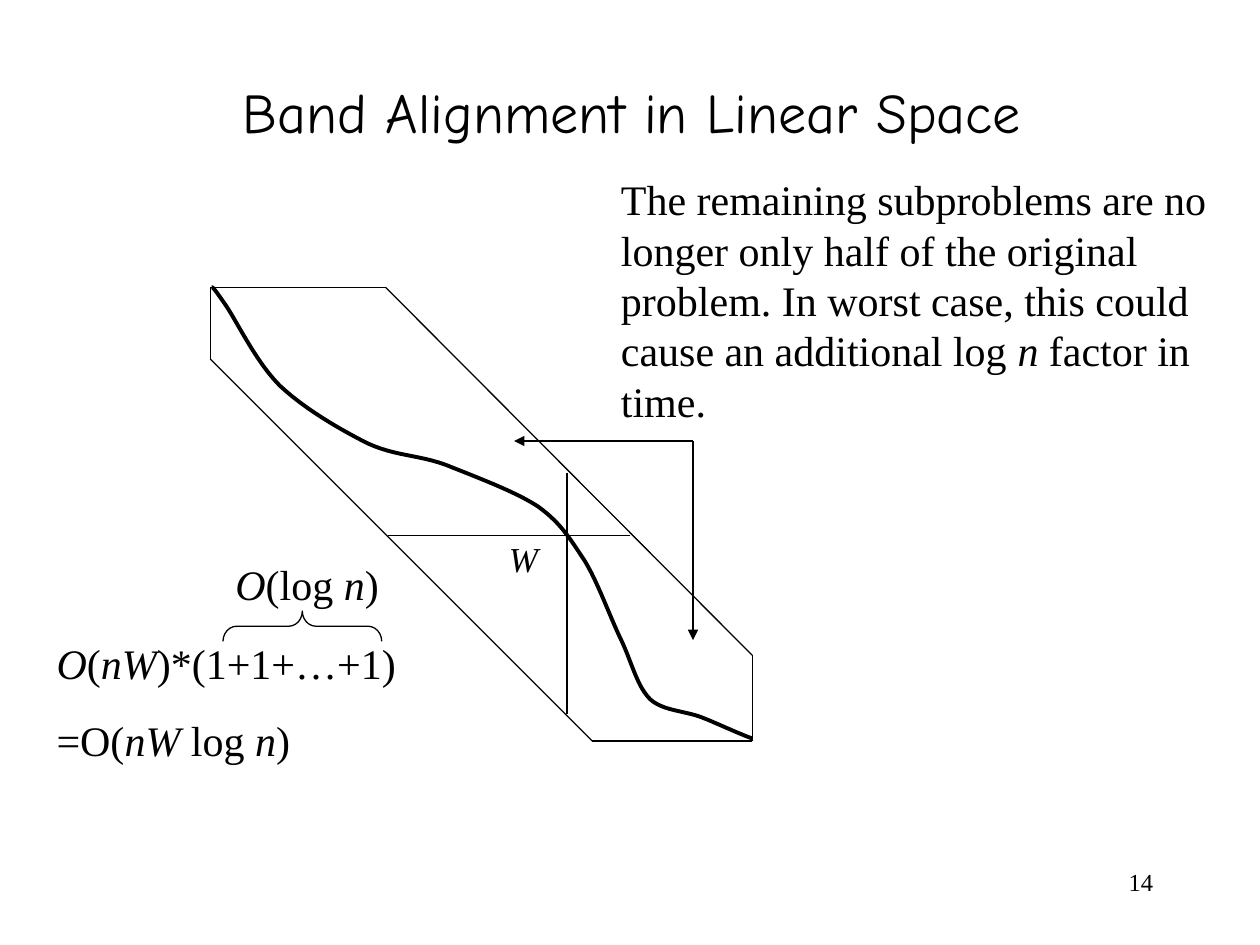
from lxml import etree
from pptx import Presentation
from pptx.dml.color import RGBColor
from pptx.enum.shapes import MSO_CONNECTOR, MSO_SHAPE
from pptx.enum.text import MSO_ANCHOR, PP_ALIGN
from pptx.oxml.ns import qn
from pptx.util import Inches, Pt

BLACK = RGBColor(0, 0, 0)
SERIF, COMIC = "Times New Roman", "Comic Neue"
LEFT, RIGHT = PP_ALIGN.LEFT, PP_ALIGN.RIGHT
TOP = MSO_ANCHOR.TOP
STRAIGHT, RIGHT_BRACE = MSO_CONNECTOR.STRAIGHT, MSO_SHAPE.RIGHT_BRACE
THIN, THICK = 0.75, 2.25

# Texts: box (left, top, width, height), size, font, alignment, wrap, paragraphs.
# Every second run in a paragraph is italic.
TEXTS = [
    ((1.83, 0.57, 7.01, 0.64), 32, COMIC, LEFT, True,
     [["Band Alignment in Linear Space"]]),
    ((4.83, 1.33, 4.92, 2.1), 24, SERIF, LEFT, True,
     [["The remaining subproblems are no longer only half of the original "
       "problem. In worst case, this could cause an additional log ",
       "n", " factor in time."]]),
    ((0.35, 5.01, 2.99, 1.11), 24, SERIF, LEFT, True,
     [["", "O", "(", "nW", ")*(1+1+…+1)"],
      ["=O(", "nW", " log ", "n", ")"]]),
    ((1.77, 4.38, 1.42, 0.5), 24, SERIF, LEFT, True,
     [["", "O", "(log ", "n", ")"]]),
    ((3.94, 4.22, 0.43, 0.44), 20, SERIF, LEFT, False, [["", "W"]]),
    ((7.17, 6.83, 2.08, 0.5), 14, SERIF, RIGHT, True, [["14"]]),
]

# Band outline, corner by corner
BAND = [(1.67, 2.28), (3.06, 2.28), (5.97, 5.2), (5.97, 5.88),
        (4.7, 5.88), (1.67, 2.85)]

# Width and cut through the middle of the band
CROSS_LINES = [((3.08, 4.25), (5, 4.25)), ((4.5, 3.75), (4.5, 5.67))]

# Arrows from one corner to the two remaining subproblems
ARROW_CORNER = (5.5, 3.5)
SUBPROBLEMS = [(4.08, 3.5), (5.5, 5.08)]

# Alignment curve: start, then Bezier pieces (control, control, end)
CURVE_START = (1.68, 2.28)
CURVE_PIECES = [
    ((1.69, 2.28), (1.7, 2.29), (1.79, 2.42)),
    ((1.88, 2.55), (2.03, 2.87), (2.22, 3.06)),
    ((2.41, 3.24), (2.7, 3.41), (2.92, 3.52)),
    ((3.14, 3.62), (3.32, 3.61), (3.54, 3.69)),
    ((3.76, 3.78), (4.09, 3.9), (4.27, 4.02)),
    ((4.45, 4.15), (4.52, 4.27), (4.64, 4.45)),
    ((4.75, 4.63), (4.85, 4.92), (4.94, 5.1)),
    ((5.02, 5.28), (5.06, 5.45), (5.16, 5.55)),
    ((5.26, 5.64), (5.42, 5.64), (5.56, 5.69)),
    ((5.69, 5.74), (5.9, 5.84), (5.97, 5.86)),
]
STEPS = 12

BRACE = (2.28, 4.34, 0.24, 1.26)


def add_text(slide, box, size, font, align, wrap, paragraphs):
    frame = slide.shapes.add_textbox(*map(Inches, box)).text_frame
    frame.word_wrap = wrap
    frame.vertical_anchor = TOP
    for row, runs in enumerate(paragraphs):
        paragraph = frame.paragraphs[0] if row == 0 else frame.add_paragraph()
        paragraph.alignment = align
        if row:
            paragraph.space_before = Pt(15)
        paragraph.font.size = Pt(size)
        paragraph.font.name = font
        paragraph.font.color.rgb = BLACK
        for index, words in enumerate(runs):
            if words:
                run = paragraph.add_run()
                run.text = words
                run.font.italic = index % 2 == 1


def add_line(slide, start, end, arrow=False):
    connector = slide.shapes.add_connector(STRAIGHT, *map(Inches, start + end))
    connector.line.color.rgb = BLACK
    connector.line.width = Pt(THIN)
    properties = connector._element.spPr
    if arrow:
        etree.SubElement(properties.find(qn("a:ln")), qn("a:tailEnd"),
                         type="triangle")
    etree.SubElement(properties, qn("a:effectLst"))


def style_outline(shape, width):
    shape.shadow.inherit = False
    shape.fill.background()
    shape.line.color.rgb = BLACK
    shape.line.width = Pt(width)


def curve_points(start, pieces):
    """Points along the Bezier pieces, in EMU."""
    points = [tuple(map(Inches, start))]
    for a, b, end in pieces:
        for step in range(1, STEPS + 1):
            t = step / STEPS
            u = 1 - t
            points.append(tuple(
                Inches(u**3 * p + 3 * u * u * t * q + 3 * u * t * t * r + t**3 * s)
                for p, q, r, s in zip(start, a, b, end)))
        start = end
    return points


def main():
    prs = Presentation()
    prs.slide_width, prs.slide_height = Inches(10), Inches(7.5)
    slide = prs.slides.add_slide(prs.slide_layouts[6])

    # Band with its cross lines
    for start, end in zip(BAND, BAND[1:] + BAND[:1]):
        add_line(slide, start, end)
    for start, end in CROSS_LINES:
        add_line(slide, start, end)

    # Alignment curve
    first, *others = curve_points(CURVE_START, CURVE_PIECES)
    builder = slide.shapes.build_freeform(*first)
    builder.add_line_segments(others, close=False)
    style_outline(builder.convert_to_shape(), THICK)

    # Arrows to the subproblems
    for target in SUBPROBLEMS:
        add_line(slide, ARROW_CORNER, target, arrow=True)

    # Brace over the sum
    brace = slide.shapes.add_shape(RIGHT_BRACE, *map(Inches, BRACE))
    brace.rotation = 270
    brace.adjustments[0] = 0.45
    style_outline(brace, THIN)

    # Title, explanation, formulas and page number
    for text in TEXTS:
        add_text(slide, *text)

    prs.save("out.pptx")


if __name__ == "__main__":
    main()
